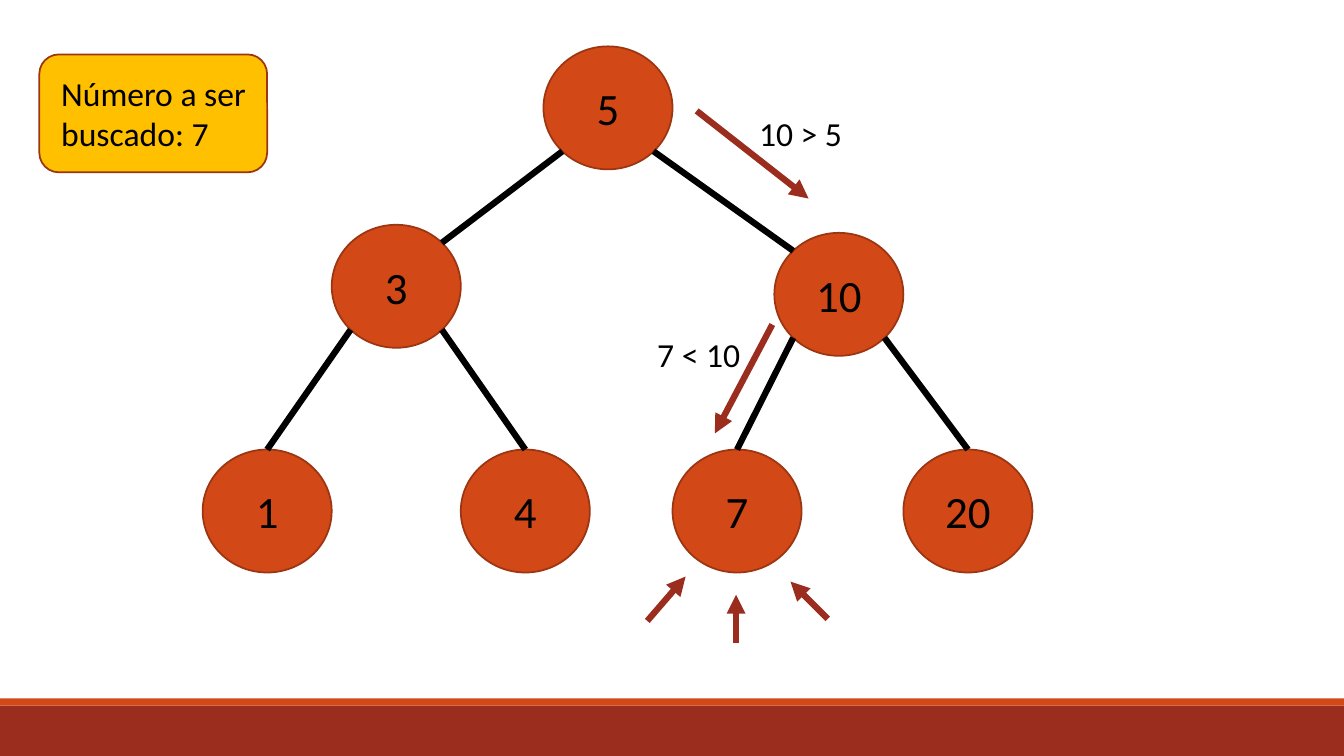
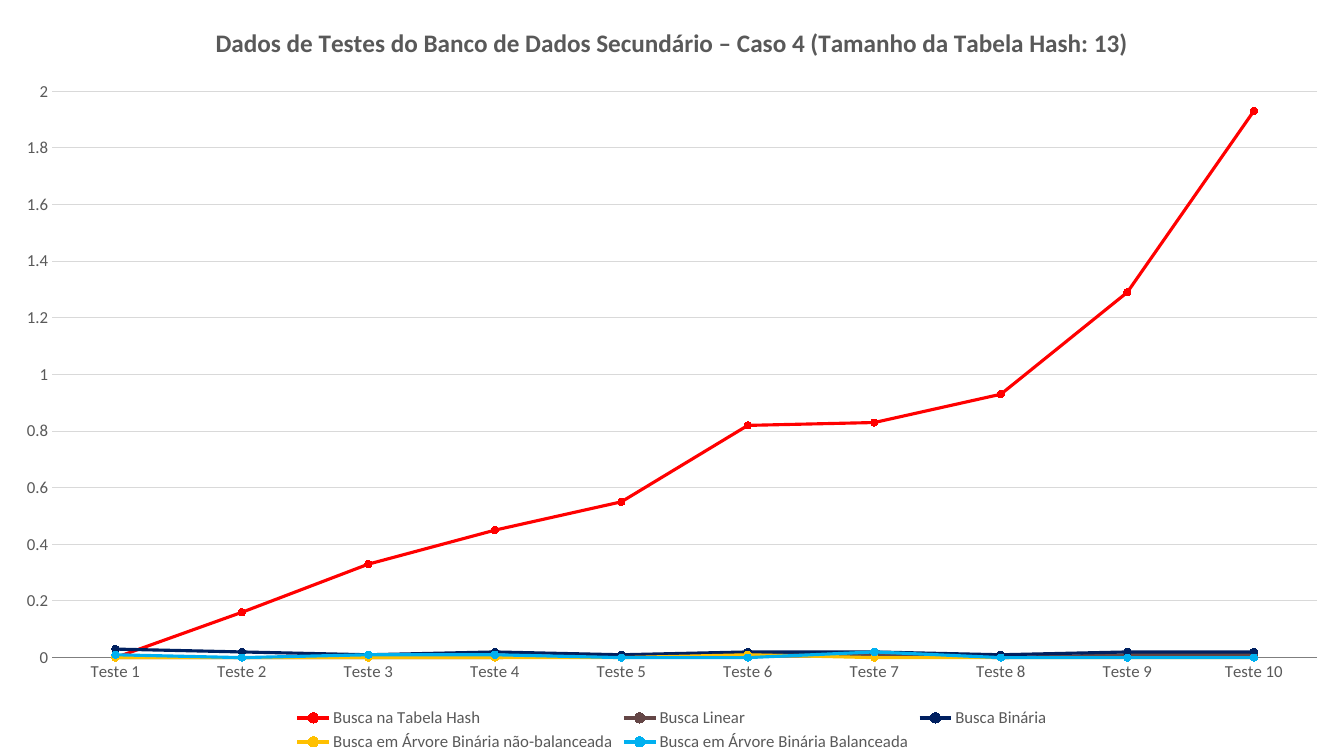
import math

from lxml import etree
from pptx import Presentation
from pptx.chart.data import CategoryChartData
from pptx.dml.color import RGBColor
from pptx.enum.chart import XL_CHART_TYPE, XL_LEGEND_POSITION, XL_MARKER_STYLE, XL_TICK_MARK
from pptx.enum.shapes import MSO_CONNECTOR, MSO_SHAPE
from pptx.enum.text import MSO_ANCHOR, PP_ALIGN
from pptx.oxml import parse_xml
from pptx.oxml.ns import nsdecls, qn
from pptx.util import Inches, Pt

LINE_MARKERS = XL_CHART_TYPE.LINE_MARKERS
LEGEND_BOTTOM = XL_LEGEND_POSITION.BOTTOM
CIRCLE_MARKER = XL_MARKER_STYLE.CIRCLE
NO_TICK = XL_TICK_MARK.NONE
STRAIGHT = MSO_CONNECTOR.STRAIGHT
RECTANGLE = MSO_SHAPE.RECTANGLE
ROUNDED_RECTANGLE = MSO_SHAPE.ROUNDED_RECTANGLE
ELLIPSE = MSO_SHAPE.OVAL
MIDDLE = MSO_ANCHOR.MIDDLE
LEFT = PP_ALIGN.LEFT
CENTER = PP_ALIGN.CENTER

BLACK = RGBColor(0x00, 0x00, 0x00)
ORANGE = RGBColor(0xD3, 0x48, 0x17)
DARK_ORANGE = RGBColor(0x9C, 0x35, 0x11)
BRICK = RGBColor(0x9B, 0x2D, 0x1F)
AMBER = RGBColor(0xFF, 0xC0, 0x00)
RED = RGBColor(0xFF, 0x00, 0x00)
BROWN = RGBColor(0x64, 0x46, 0x46)
NAVY = RGBColor(0x00, 0x20, 0x60)
SKY = RGBColor(0x00, 0xB0, 0xF0)
TEXT_GRAY = RGBColor(0x59, 0x59, 0x59)
AXIS_GRAY = RGBColor(0x7F, 0x7F, 0x7F)
GRID_GRAY = RGBColor(0xD9, 0xD9, 0xD9)

FONT = "Calibri"
SLIDE_WIDTH, SLIDE_HEIGHT = 13.33, 7.5
BLANK_LAYOUT = 6

# top, height, colour of the footer bands
BANDS = [(7, 0.5, BRICK), (6.93, 0.07, ORANGE)]

NODE_WIDTH, NODE_HEIGHT = 1.28, 1.22
LEAF_TOP = 4.46
# number: left, top
NODES = {
    5: (5.39, 0.46),
    3: (3.29, 2.23),
    10: (7.68, 2.31),
    1: (2.01, LEAF_TOP),
    4: (4.57, LEAF_TOP),
    7: (6.67, LEAF_TOP),
    20: (8.96, LEAF_TOP),
}
EDGES = [(5, 3), (5, 10), (3, 1), (3, 4), (10, 7), (10, 20)]
SEARCH_ARROWS = [
    ((6.91, 1.1), (8.02, 1.97)),
    ((7.66, 3.22), (7.09, 4.3)),
    ((6.42, 6.16), (6.8, 5.72)),
    ((7.3, 6.38), (7.3, 5.9)),
    ((8.21, 6.14), (7.84, 5.77)),
]
COMPARISONS = [("10 > 5", 7.43, 1.07), ("7 < 10", 6.42, 3.26)]

CHART_TITLE = "Dados de Testes do Banco de Dados Secundário – Caso 4 (Tamanho da Tabela Hash: 13)"
SERIES = [
    ("Busca na Tabela Hash", RED,
     (0, 0.16, 0.33, 0.45, 0.55, 0.82, 0.83, 0.93, 1.29, 1.93)),
    ("Busca Linear", BROWN,
     (0, 0, 0, 0, 0.01, 0.01, 0.01, 0, 0.01, 0.01)),
    ("Busca Binária", NAVY,
     (0.03, 0.02, 0.01, 0.02, 0.01, 0.02, 0.02, 0.01, 0.02, 0.02)),
    ("Busca em Árvore Binária não-balanceada", AMBER,
     (0, 0, 0, 0, 0, 0.01, 0, 0, 0, 0)),
    ("Busca em Árvore Binária Balanceada", SKY,
     (0.01, 0, 0.01, 0.01, 0, 0, 0.02, 0, 0, 0)),
]


def format_font(font, size, color, bold=False):
    font.name = FONT
    font.size = Pt(size)
    font.bold = bold
    font.color.rgb = color


def write_text(text_frame, text, size=24, color=BLACK, bold=False, align=LEFT):
    paragraph = text_frame.paragraphs[0]
    paragraph.alignment = align
    run = paragraph.add_run()
    run.text = text
    format_font(run.font, size, color, bold)


def add_filled_shape(slide, kind, left, top, width, height, fill, line=None):
    shape = slide.shapes.add_shape(
        kind, Inches(left), Inches(top), Inches(width), Inches(height))
    shape.shadow.inherit = False
    shape.fill.solid()
    shape.fill.fore_color.rgb = fill
    if line is None:
        shape.line.fill.background()
    else:
        shape.line.color.rgb = line
        shape.line.width = Pt(1.25)
    return shape


def add_line(slide, start, end, color, arrow=False):
    x1, y1, x2, y2 = (Inches(value) for value in (*start, *end))
    connector = slide.shapes.add_connector(STRAIGHT, x1, y1, x2, y2)
    connector.line.color.rgb = color
    connector.line.width = Pt(4.5)
    properties = connector.element.spPr
    if arrow:
        etree.SubElement(properties.get_or_add_ln(), qn("a:tailEnd"), type="triangle")
    etree.SubElement(properties, qn("a:effectLst"))
    return connector


def add_label(slide, text, left, top):
    label = slide.shapes.add_textbox(Inches(left), Inches(top), Inches(1.13), Inches(0.5))
    label.text_frame.word_wrap = True
    write_text(label.text_frame, text)


def add_node(slide, number, left, top):
    node = add_filled_shape(
        slide, ELLIPSE, left, top, NODE_WIDTH, NODE_HEIGHT, ORANGE, DARK_ORANGE)
    frame = node.text_frame
    frame.margin_left = frame.margin_right = frame.margin_top = frame.margin_bottom = 0
    frame.vertical_anchor = MIDDLE
    write_text(frame, str(number), size=32, align=CENTER)
    return node


def diagonal_point(number, horizontal, vertical):
    """Point of a node's outline at 45 degrees; each direction is -1 or 1."""
    left, top = NODES[number]
    reach = math.sqrt(0.5)
    return (left + NODE_WIDTH / 2 * (1 + horizontal * reach),
            top + NODE_HEIGHT / 2 * (1 + vertical * reach))


def add_edge(slide, nodes, parent, child):
    side = 1 if child > parent else -1
    start = diagonal_point(parent, side, 1)
    edge = add_line(slide, start, diagonal_point(child, -side, -1), BLACK)
    if NODES[child][1] == LEAF_TOP:
        edge.end_connect(nodes[child], 0)


def add_target_card(slide):
    card = add_filled_shape(
        slide, ROUNDED_RECTANGLE, 0.39, 0.54, 2.26, 1.17, AMBER, DARK_ORANGE)
    frame = card.text_frame
    frame.word_wrap = True
    frame.vertical_anchor = MIDDLE
    frame.margin_left = Inches(0.16)
    frame.margin_right = 0
    write_text(frame, "Número a ser buscado: 7")


def move_bands_to_layout(slide):
    """Build the footer bands once, in the layout that all slides use."""
    for top, height, color in BANDS:
        band = add_filled_shape(slide, RECTANGLE, 0, top, SLIDE_WIDTH, height, color)
        slide.slide_layout.shapes.element.append(band.element)


def build_tree_slide(slide):
    nodes = {number: add_node(slide, number, *corner) for number, corner in NODES.items()}
    for parent, child in EDGES:
        add_edge(slide, nodes, parent, child)
    for start, end in SEARCH_ARROWS:
        add_line(slide, start, end, BRICK, arrow=True)
    for text, left, top in COMPARISONS:
        add_label(slide, text, left, top)
    add_target_card(slide)


def fill_chart_area(chart):
    """Give the chart an opaque white background."""
    area = parse_xml(
        f'<c:spPr {nsdecls("c", "a")}><a:solidFill><a:srgbClr val="FFFFFF"/></a:solidFill>'
        '<a:ln><a:noFill/></a:ln></c:spPr>')
    chart.font.size = Pt(10)
    chart.font.name = FONT
    chart.element.find(qn("c:txPr")).addprevious(area)


def format_axes(chart):
    for axis in (chart.category_axis, chart.value_axis):
        axis.major_tick_mark = axis.minor_tick_mark = NO_TICK
        format_font(axis.tick_labels.font, 12, TEXT_GRAY)
    category_line = chart.category_axis.format.line
    category_line.color.rgb = AXIS_GRAY
    category_line.width = Pt(0.75)
    value_axis = chart.value_axis
    value_axis.minimum_scale, value_axis.maximum_scale = 0, 2
    value_axis.major_unit = 0.2
    value_axis.format.line.fill.background()
    grid_line = value_axis.major_gridlines.format.line
    grid_line.color.rgb = GRID_GRAY
    grid_line.width = Pt(0.75)


def format_series(series, color):
    series.smooth = False
    series.format.line.color.rgb = color
    series.format.line.width = Pt(2.25)
    marker = series.marker
    marker.style = CIRCLE_MARKER
    marker.size = 5
    marker.format.fill.solid()
    marker.format.fill.fore_color.rgb = color
    marker.format.line.color.rgb = color


def build_chart_slide(slide):
    data = CategoryChartData()
    data.categories = [f"Teste {number}" for number in range(1, 11)]
    for name, _, values in SERIES:
        data.add_series(name, values)
    chart = slide.shapes.add_chart(
        LINE_MARKERS, 0, 0, Inches(SLIDE_WIDTH), Inches(SLIDE_HEIGHT), data).chart
    fill_chart_area(chart)
    chart.has_title = True
    write_text(chart.chart_title.text_frame, CHART_TITLE,
               size=18, color=TEXT_GRAY, bold=True, align=CENTER)
    chart.chart_title.include_in_layout = False
    chart.has_legend = True
    chart.legend.position = LEGEND_BOTTOM
    chart.legend.include_in_layout = False
    format_font(chart.legend.font, 12, TEXT_GRAY)
    format_axes(chart)
    plot = chart.plots[0]
    plot.vary_by_categories = False
    for series, (_, color, _) in zip(plot.series, SERIES):
        format_series(series, color)


def main():
    presentation = Presentation()
    presentation.slide_width = Inches(SLIDE_WIDTH)
    presentation.slide_height = Inches(SLIDE_HEIGHT)
    layout = presentation.slide_layouts[BLANK_LAYOUT]
    tree_slide = presentation.slides.add_slide(layout)
    chart_slide = presentation.slides.add_slide(layout)
    move_bands_to_layout(tree_slide)
    build_tree_slide(tree_slide)
    build_chart_slide(chart_slide)
    presentation.save("out.pptx")


if __name__ == "__main__":
    main()
